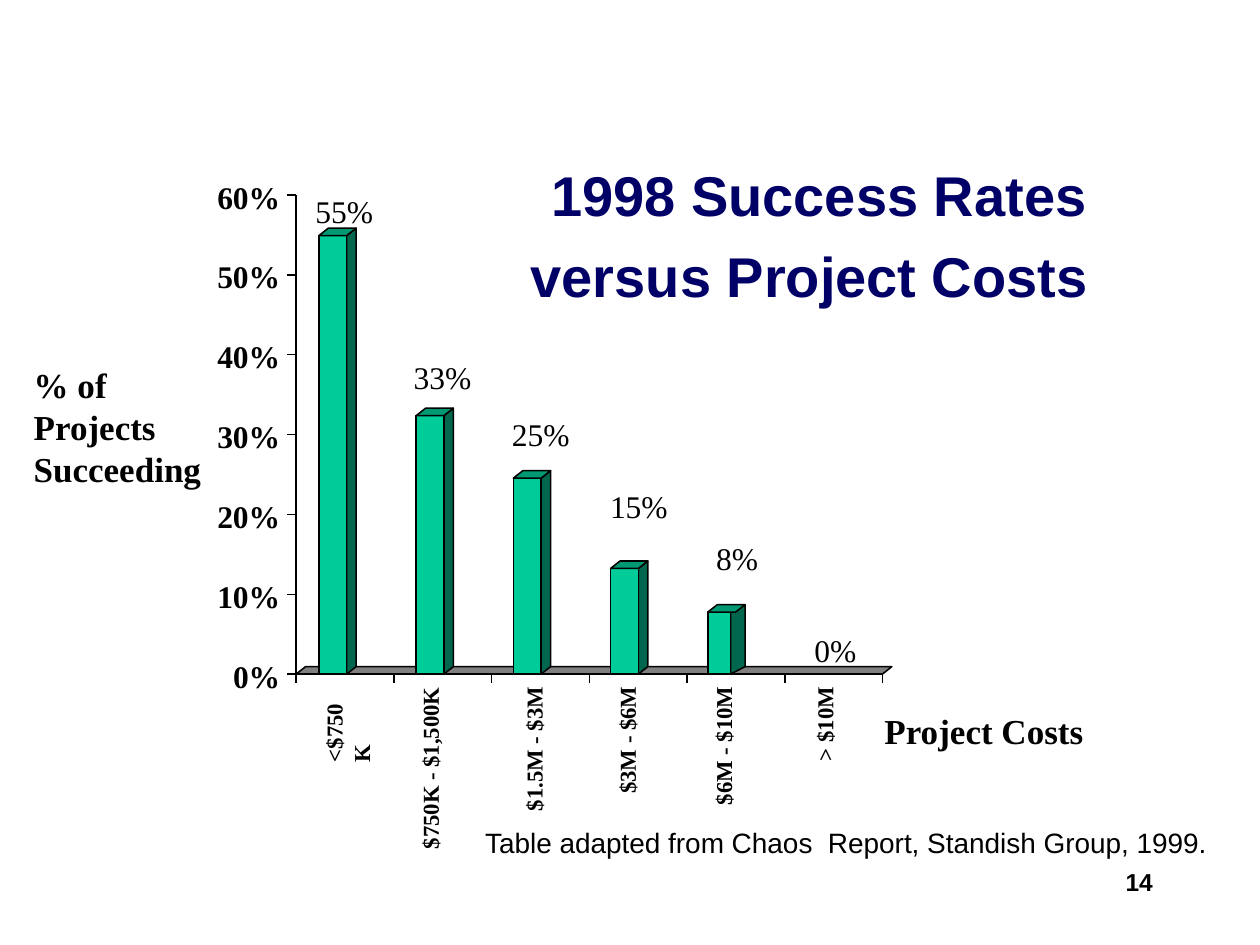
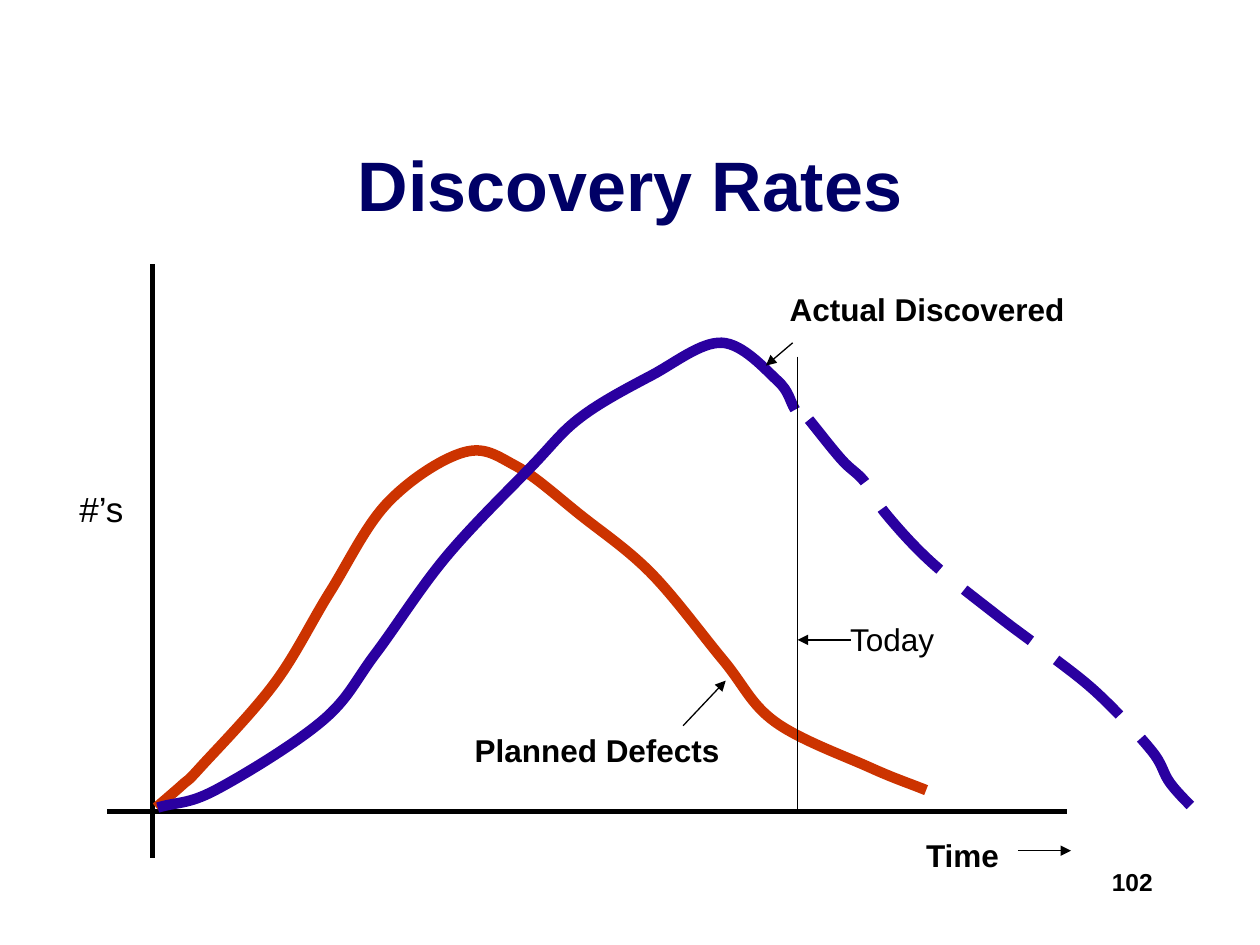
from lxml.etree import SubElement
from pptx import Presentation
from pptx.dml.color import RGBColor
from pptx.enum.dml import MSO_LINE
from pptx.enum.shapes import MSO_CONNECTOR, MSO_SHAPE
from pptx.enum.text import MSO_ANCHOR, PP_ALIGN as Align
from pptx.oxml.ns import qn
from pptx.util import Cm, Pt

BLACK = RGBColor(0x00, 0x00, 0x00)
NAVY = RGBColor(0x00, 0x00, 0x66)
GREEN = RGBColor(0x00, 0xCC, 0x99)
GREEN_TOP = RGBColor(0x00, 0x99, 0x73)
GREEN_SIDE = RGBColor(0x00, 0x66, 0x4D)
GRAY = RGBColor(0x80, 0x80, 0x80)
RED = RGBColor(0xCC, 0x33, 0x00)
INDIGO = RGBColor(0x2A, 0x00, 0xA0)
SANS = "Arial"
SERIF = "Times New Roman"


def add_label(slide, text, left, top, width, height, size, font=SANS, bold=False,
              color=BLACK, align=Align.LEFT, wrap=False, inset=True):
    label = slide.shapes.add_textbox(Cm(left), Cm(top), Cm(width), Cm(height))
    frame = label.text_frame
    frame.word_wrap = wrap
    if not inset:
        frame.margin_left = frame.margin_right = 0
        frame.margin_top = frame.margin_bottom = 0
    paragraph = frame.paragraphs[0]
    paragraph.text = text
    paragraph.alignment = align
    for run in paragraph.runs:
        run.font.name = font
        run.font.size = Pt(size)
        run.font.bold = bold
        run.font.color.rgb = color
    return label


def add_line(slide, x1, y1, x2, y2, weight, arrow=False):
    connector = slide.shapes.add_connector(
        MSO_CONNECTOR.STRAIGHT, Cm(x1), Cm(y1), Cm(x2), Cm(y2))
    connector.line.color.rgb = BLACK
    connector.line.width = Pt(weight)
    properties = connector._element.spPr
    if arrow:
        SubElement(properties.find(qn("a:ln")), qn("a:tailEnd"), type="triangle")
    SubElement(properties, qn("a:effectLst"))


prs = Presentation()
prs.slide_width = Cm(25.4)
prs.slide_height = Cm(19.05)
blank = prs.slide_layouts[6]
costs_slide = prs.slides.add_slide(blank)
discovery_slide = prs.slides.add_slide(blank)

headings = [
    (costs_slide, "1998 Success Rates\vversus Project Costs ", 8.26, 3.17, 16.51, 32, "14"),
    (discovery_slide, "Discovery Rates", 0, 2.1, 25.4, 40, "102"),
]
for slide, heading, left, top, width, size, number in headings:
    title = add_label(slide, heading.rstrip(), left, top, width, 3.18, size, bold=True,
                      color=NAVY, align=Align.CENTER, wrap=True)
    title.text_frame.vertical_anchor = MSO_ANCHOR.MIDDLE
    if heading.endswith(" "):
        trailing_space = title.text_frame.paragraphs[0].add_run()
        trailing_space.text = " "
        trailing_space.font.name = SANS
        trailing_space.font.size = Pt(40)
        trailing_space.font.color.rgb = BLACK
    add_label(slide, number, 18.21, 17.35, 5.28, 1.27, 14, bold=True,
              align=Align.RIGHT, wrap=True)

AXIS_X, BASE_Y = 5.97, 13.59
CATEGORY_STEP, PERCENT_STEP = 1.97, 1.61
DEPTH_X, DEPTH_Y = 0.19, 0.15
BAR_WIDTH = 0.56
AXIS_RIGHT = AXIS_X + 6 * CATEGORY_STEP
AXIS_TOP = BASE_Y - 6 * PERCENT_STEP
THIN = 0.88

floor = [(AXIS_X, BASE_Y), (AXIS_X + DEPTH_X, BASE_Y - DEPTH_Y),
         (AXIS_RIGHT + DEPTH_X, BASE_Y - DEPTH_Y), (AXIS_RIGHT, BASE_Y)]
faces = [(floor, GRAY)]
bars = [(4.75, BAR_WIDTH), (8.38, BAR_WIDTH), (9.64, BAR_WIDTH),
        (11.46, BAR_WIDTH), (12.34, 0.46)]
for i, (bar_top, front_width) in enumerate(bars):
    left = 6.43 + 1.96 * i
    front_right = left + front_width
    right = left + BAR_WIDTH
    back_right = right + DEPTH_X
    back_top = bar_top - DEPTH_Y
    side = [(front_right, BASE_Y), (front_right, bar_top), (back_right, back_top),
            (back_right, BASE_Y - DEPTH_Y)]
    front = [(left, bar_top), (front_right, BASE_Y)]
    lid = [(right, bar_top), (back_right, back_top), (left + DEPTH_X, back_top),
           (left, bar_top)]
    faces += [(side, GREEN_SIDE), (front, GREEN), (lid, GREEN_TOP)]

for corners, color in faces:
    points = [(Cm(x), Cm(y)) for x, y in corners]
    if len(points) == 2:
        (x1, y1), (x2, y2) = points
        face = costs_slide.shapes.add_shape(MSO_SHAPE.RECTANGLE, x1, y1, x2 - x1, y2 - y1)
    else:
        outline = costs_slide.shapes.build_freeform(*points[0])
        outline.add_line_segments(points[1:], close=True)
        face = outline.convert_to_shape()
    face.shadow.inherit = False
    face.fill.solid()
    face.fill.fore_color.rgb = color
    face.line.color.rgb = BLACK
    face.line.width = Pt(THIN)

add_line(costs_slide, AXIS_X, BASE_Y, AXIS_X, AXIS_TOP, THIN)
add_line(costs_slide, AXIS_X, BASE_Y, AXIS_RIGHT, BASE_Y, THIN)
for i in range(7):
    tick_y = BASE_Y - i * PERCENT_STEP
    tick_x = AXIS_X + i * CATEGORY_STEP
    add_line(costs_slide, AXIS_X, tick_y, AXIS_X - 0.18, tick_y, THIN)
    add_line(costs_slide, tick_x, BASE_Y, tick_x, BASE_Y + 0.18, THIN)
    add_label(costs_slide, f"{i * 10}%", 4.35, tick_y - 0.35, 1.3, 0.76, 18, SERIF, True,
              align=Align.RIGHT, wrap=True, inset=False)

cost_ranges = [
    ("<$750K", 6.73, 1.52, "55%", 3.75),
    ("$750K - $1,500K", 8.67, 3.28, "33%", 7.1),
    ("$1.5M - $3M", 10.76, 2.51, "25%", 8.24),
    ("$3M - $6M", 12.64, 2.16, "15%", 9.7),
    ("$6M - $10M", 14.58, 2.39, "8%", 10.74),
    ("> $10M", 16.62, 1.5, "0%", 12.6),
]
for i, (cost_range, center, length, success_rate, rate_top) in enumerate(cost_ranges):
    category = add_label(costs_slide, cost_range, center - length / 2, 13.56 + length / 2,
                         length, 0.56, 13, SERIF, True, inset=False)
    category.rotation = 270
    add_label(costs_slide, success_rate, 6.1 + 1.98 * i, rate_top, 1.68, 1.02, 18, SERIF,
              align=Align.CENTER)

add_label(costs_slide, "% of Projects Succeeding", 0.43, 7.2, 4.01, 2.79, 20, SERIF, True,
          wrap=True)
add_label(costs_slide, "Project Costs", 17.58, 14.17, 4.52, 1.12, 20, SERIF, True)
add_label(costs_slide, "Table adapted from Chaos  Report, Standish Group, 1999.",
          9.53, 16.51, 15.24, 0.94, 16, wrap=True)

add_line(discovery_slide, 3.07, 5.33, 3.07, 17.3, 3)
add_line(discovery_slide, 2.16, 16.36, 21.51, 16.36, 3)

planned = [(3.15, 16.28), (3.68, 15.82), (4.04, 15.47), (5.54, 13.77), (6.65, 11.94),
           (7.82, 10.13), (9.35, 9.12), (10.41, 9.4), (11.71, 10.39), (13.13, 11.56),
           (14.58, 13.31), (15.62, 14.55), (17.53, 15.47), (18.67, 15.93)]
actual = [(3.18, 16.28), (4.34, 15.93), (6.5, 14.53), (7.57, 13.18), (8.99, 11.23),
          (10.72, 9.4), (11.71, 8.41), (13.13, 7.57), (14.55, 6.91), (15.67, 7.67),
          (16.03, 8.26)]
forecast = [(16.31, 8.46), (16.97, 9.27), (17.42, 9.7), (17.86, 10.36), (18.77, 11.33),
            (20.12, 12.42), (21.13, 13.18), (22.15, 14), (23.22, 15.14), (23.6, 15.8),
            (24.23, 16.48)]
for anchors, color, dash in [(planned, RED, None), (actual, INDIGO, None),
                             (forecast, INDIGO, MSO_LINE.LONG_DASH)]:
    before = [2 * a - b for a, b in zip(anchors[0], anchors[1])]
    after = [2 * a - b for a, b in zip(anchors[-1], anchors[-2])]
    knots = [before, *anchors, after]
    points = []
    for p0, p1, p2, p3 in zip(knots, knots[1:], knots[2:], knots[3:]):
        leaving = [b + (c - a) / 6 for a, b, c in zip(p0, p1, p2)]
        arriving = [c - (d - b) / 6 for b, c, d in zip(p1, p2, p3)]
        points += [(Cm(x), Cm(y)) for x, y in (leaving, arriving, p2)]
    outline = discovery_slide.shapes.build_freeform(*[Cm(v) for v in anchors[0]])
    outline.add_line_segments(points, close=False)
    curve = outline.convert_to_shape()
    segments = list(curve._element.iter(qn("a:lnTo")))
    for i in range(0, len(segments), 3):
        route = segments[i].getparent()
        bezier = SubElement(route, qn("a:cubicBezTo"))
        for segment in segments[i:i + 3]:
            bezier.append(segment[0])
            route.remove(segment)
    curve.shadow.inherit = False
    curve.fill.background()
    curve.line.color.rgb = color
    curve.line.width = Pt(6)
    if dash:
        curve.line.dash_style = dash

add_label(discovery_slide, "#’s", 1.35, 9.71, 1.4, 1.12, 20)
for text, left, top, width, bold in [
    ("Actual Discovered", 15.67, 5.72, 6.05, True),
    ("Planned Defects", 9.32, 14.61, 5.44, True),
    ("Time", 18.42, 16.72, 1.98, True),
    ("Today", 16.89, 12.37, 2.26, False),
]:
    add_label(discovery_slide, text, left, top, width, 1.02, 18, bold=bold)

add_line(discovery_slide, 16.08, 7.19, 16.08, 16.31, 0.75)
for pointer in [(13.77, 14.63, 14.63, 13.72), (15.98, 6.91, 15.44, 7.37),
                (20.52, 17.15, 21.59, 17.15), (17.15, 12.9, 16.08, 12.9)]:
    add_line(discovery_slide, *pointer, 0.75, arrow=True)

prs.save("out.pptx")
